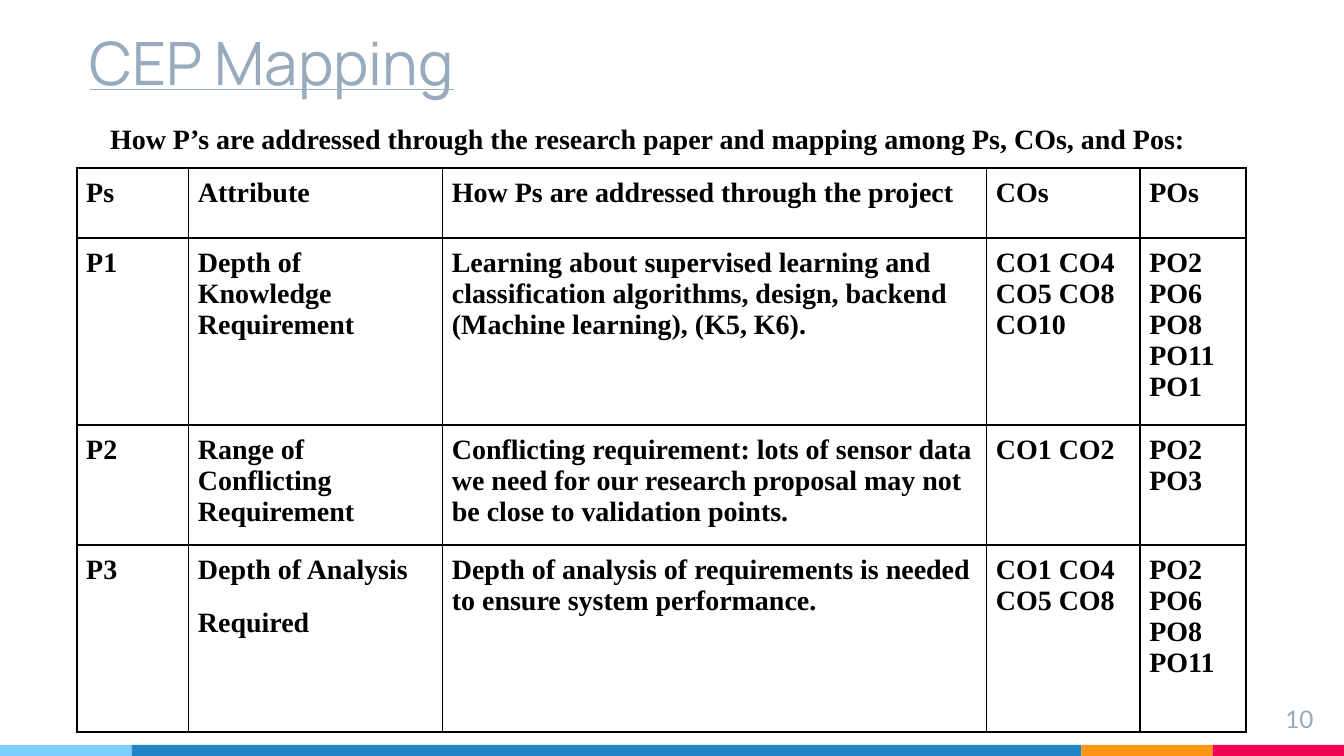
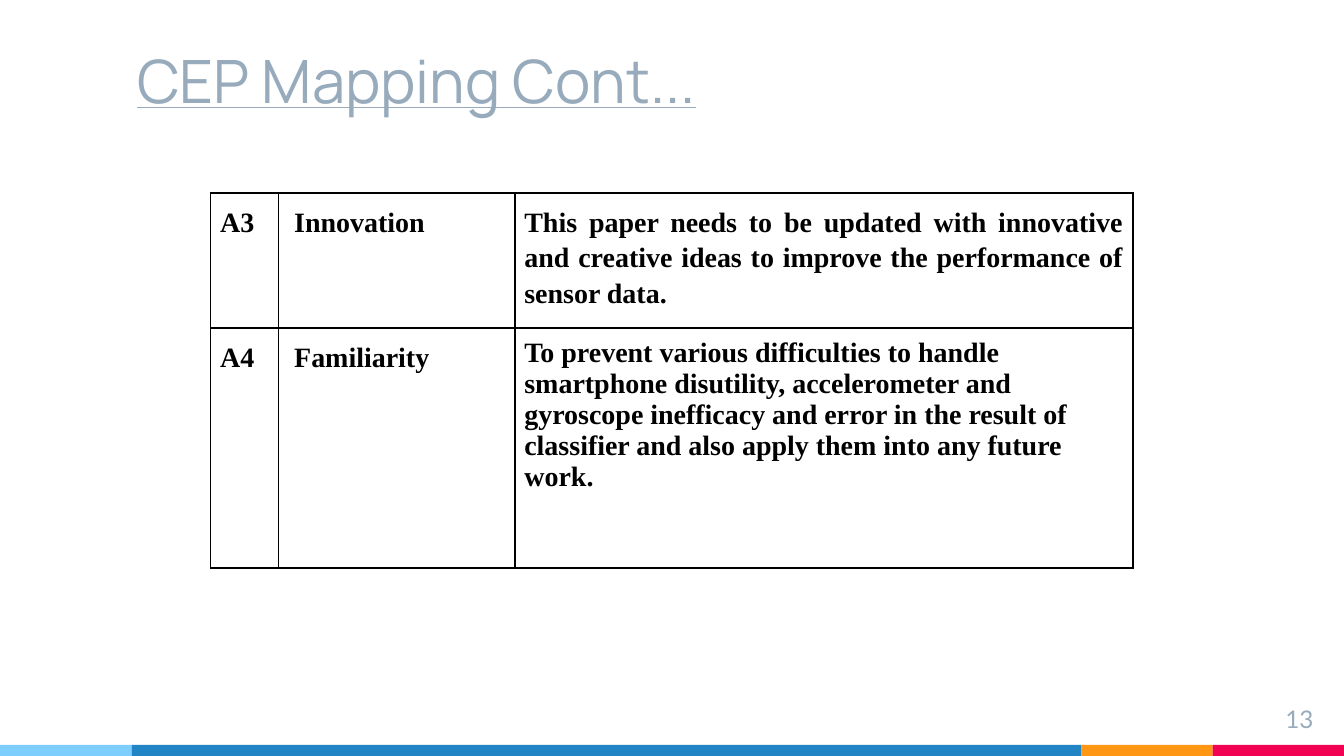
from dataclasses import dataclass
from lxml.etree import SubElement
from pptx import Presentation
from pptx.dml.color import RGBColor as Rgb
from pptx.enum.shapes import MSO_SHAPE as Shape
from pptx.enum.text import MSO_ANCHOR as Anchor, MSO_AUTO_SIZE as AutoSize, PP_ALIGN as Align
from pptx.oxml.ns import qn
from pptx.util import Cm, Pt


@dataclass(frozen=True)
class Theme:
    heading: str = "97ABBC"
    ink: str = "000000"
    title_font: str = "Manrope"
    body_font: str = "Times New Roman"
    number_font: str = "Lato"
    title_size: float = 32
    body_size: float = 15
    number_size: float = 13
    inset: float = 0.25
    cell_inset: float = 0.18
    loose_spacing: float = 1.15
    paragraph_gap: float = 12


THEME = Theme()
WIDTH, HEIGHT = 25.4, 14.29
BAND_HEIGHT = 0.21
BANDS = [("7ECEFD", 2.49), ("2185C5", 17.95), ("FF9715", 2.48), ("F20253", 2.48)]

# Content: lengths in centimetres; a list in a cell holds separate paragraphs
SLIDES = [
    {
        "title": "CEP Mapping",
        "title_at": (1.45, 0.28),
        "number": "10",
        "lead": "How P’s are addressed through the research paper and mapping "
                "among Ps, COs, and Pos:",
        "table_at": (1.45, 3.18),
        "columns": [2.11, 4.8, 10.28, 2.9, 2.01],
        "row_heights": [1.32, 3.53, 2.26, 3.53],
        "border": 1,
        "rows": [
            ["Ps", "Attribute", "How Ps are addressed through the project", "COs", "POs"],
            ["P1", "Depth of Knowledge Requirement",
             "Learning about supervised learning and classification algorithms, "
             "design, backend (Machine learning), (K5, K6).",
             "CO1 CO4 CO5 CO8 CO10", "PO2 PO6 PO8 PO11 PO1"],
            ["P2", "Range of Conflicting Requirement",
             "Conflicting requirement: lots of sensor data we need for our research "
             "proposal may not be close to validation points.",
             "CO1 CO2", "PO2 PO3"],
            ["P3", ["Depth of Analysis", "Required"],
             "Depth of analysis of requirements is needed to ensure system performance.",
             "CO1 CO4 CO5 CO8", "PO2 PO6 PO8 PO11"],
        ],
    },
    {
        "title": "CEP Mapping Cont...",
        "title_at": (2.34, 0.62),
        "number": "13",
        "table_at": (3.98, 3.65),
        "columns": [1.28, 4.47, 11.68],
        "row_heights": [2.36, 4.54],
        "border": 0.99,
        "rows": [
            ["A3", "Innovation",
             "This paper needs to be updated with innovative and creative ideas to "
             "improve the performance of sensor data."],
            ["A4", "Familiarity",
             "To prevent various difficulties to handle smartphone disutility, "
             "accelerometer and gyroscope inefficacy and error in the result of "
             "classifier and also apply them into any future work."],
        ],
        "justified": {(0, 0), (0, 1), (0, 2), (1, 0), (1, 1)},
        "indented_column": 1,
        "indent": 0.12,
    },
]


def style_font(para, name, size, color, bold=False):
    font = para.font
    font.name, font.size, font.bold = name, Pt(size), bold
    font.color.rgb = Rgb.from_string(color)


def style_body(para):
    style_font(para, THEME.body_font, THEME.body_size, THEME.ink, bold=True)


def set_insets(target, inset):
    target.margin_left = target.margin_right = Cm(inset)
    target.margin_top = target.margin_bottom = Cm(inset)


def add_text(page, text, left, top, width, height):
    box = page.shapes.add_textbox(Cm(left), Cm(top), Cm(width), Cm(height))
    box.text_frame.word_wrap = True
    set_insets(box.text_frame, THEME.inset)
    para = box.text_frame.paragraphs[0]
    para.text = text
    return para


def add_bands(page):
    left = 0
    for color, width in BANDS:
        band = page.shapes.add_shape(Shape.RECTANGLE, Cm(left), Cm(HEIGHT - BAND_HEIGHT),
                                     Cm(width), Cm(BAND_HEIGHT))
        band.shadow.inherit = False
        band.fill.solid()
        band.fill.fore_color.rgb = Rgb.from_string(color)
        band.line.fill.background()
        left += width


def set_title(page, text, left, top):
    title = page.shapes.title
    title.left, title.top, title.width, title.height = Cm(left), Cm(top), Cm(17.95), Cm(1.82)
    frame = title.text_frame
    frame.text = text
    frame.auto_size = AutoSize.NONE
    frame.vertical_anchor = Anchor.BOTTOM
    set_insets(frame, THEME.inset)
    para = frame.paragraphs[0]
    para.alignment = Align.LEFT
    style_font(para, THEME.title_font, THEME.title_size, THEME.heading)
    para.font.underline = True


def set_borders(cell, width):
    properties = cell._tc.get_or_add_tcPr()
    for side in ("a:lnL", "a:lnR", "a:lnT", "a:lnB"):
        line = SubElement(properties, qn(side), w=str(int(Pt(width))))
        fill = SubElement(line, qn("a:solidFill"))
        SubElement(fill, qn("a:srgbClr"), val=THEME.ink)


def fill_cell(cell, content, border, justified):
    set_borders(cell, border)
    cell.fill.background()
    set_insets(cell, THEME.cell_inset)
    several = isinstance(content, list)
    cell.text = "\n".join(content) if several else content
    for para in cell.text_frame.paragraphs:
        style_body(para)
        if justified:
            para.alignment = Align.JUSTIFY
            para.line_spacing = THEME.loose_spacing
        if justified or several:
            para.space_before = Pt(THEME.paragraph_gap)
    if justified or several:
        para.space_after = Pt(THEME.paragraph_gap)


def add_grid(page, content):
    rows, columns, heights = content["rows"], content["columns"], content["row_heights"]
    left, top = content["table_at"]
    table = page.shapes.add_table(len(rows), len(columns), Cm(left), Cm(top),
                                  Cm(sum(columns)), Cm(sum(heights))).table
    table.first_row = table.horz_banding = False
    for column, width in zip(table.columns, columns):
        column.width = Cm(width)
    for row, height in zip(table.rows, heights):
        row.height = Cm(height)
    for r, row in enumerate(rows):
        for c, text in enumerate(row):
            cell = table.cell(r, c)
            fill_cell(cell, text, content["border"], (r, c) in content.get("justified", ()))
            if c == content.get("indented_column"):
                cell.margin_left = Cm(THEME.cell_inset + content["indent"])


deck = Presentation()
deck.slide_width, deck.slide_height = Cm(WIDTH), Cm(HEIGHT)

for content in SLIDES:
    page = deck.slides.add_slide(deck.slide_layouts[5])
    add_bands(page)
    set_title(page, content["title"], *content["title_at"])

    # Page number
    number = add_text(page, content["number"], 23.55, 13.06, 1.52, 0.86)
    number.alignment = Align.RIGHT
    style_font(number, THEME.number_font, THEME.number_size, THEME.heading)

    # Sentence above the table
    if "lead" in content:
        lead = add_text(page, content["lead"], 1.83, 1.96, 21.36, 1.14)
        lead.line_spacing = THEME.loose_spacing
        style_body(lead)

    add_grid(page, content)

deck.save("out.pptx")
